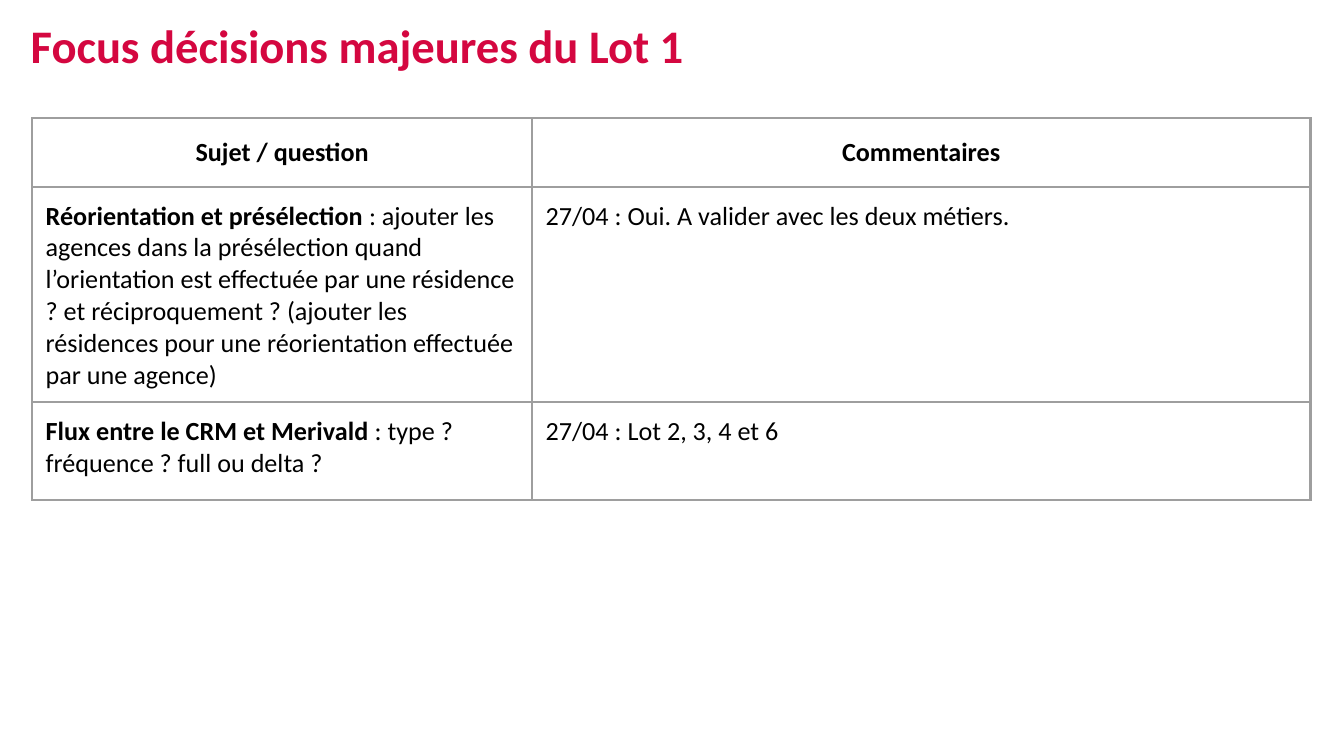
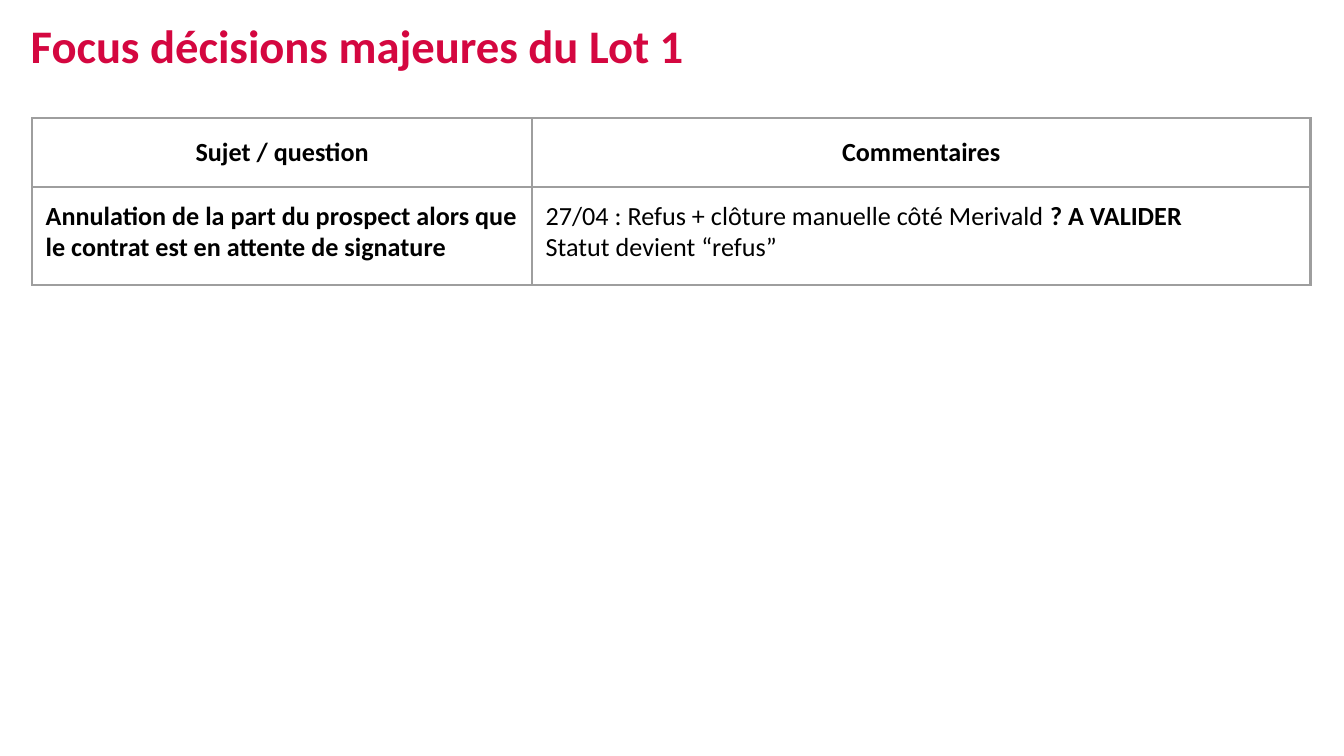
"""Builds two slides of major decisions, each a title above a bordered table."""
import pptx
import pptx.dml.color
import pptx.enum.text
import pptx.oxml
import pptx.oxml.ns
import pptx.util

Inches, Pt = pptx.util.Inches, pptx.util.Pt
ALIGN, ANCHOR = pptx.enum.text.PP_ALIGN, pptx.enum.text.MSO_ANCHOR

TITLE = "Focus décisions majeures du Lot 1"
HEADINGS = ("Sujet / question", "Commentaires")
DECISIONS = [
    [
        ([[("Réorientation et présélection", True),
           (" : ajouter les agences dans la présélection quand l’orientation est "
            "effectuée par une résidence ? et réciproquement ? (ajouter les résidences "
            "pour une réorientation effectuée par une agence)", False)]],
         [[("27/04 : Oui. A valider avec les deux métiers.", False)]]),
        ([[("Flux entre le CRM et Merivald", True),
           (" : type ? fréquence ? full ou delta ?", False)]],
         [[("27/04 : Lot 2, 3, 4 et 6", False)]]),
    ],
    [
        ([[("Annulation de la part du prospect alors que le contrat est en attente "
            "de signature", True)]],
         [[("27/04 : Refus + clôture manuelle côté Merivald ", False),
           ("? A VALIDER", True)],
          [("Statut devient “refus”", False)]]),
    ],
]

FONT = "Calibri"
RED, BLACK, GREY, WHITE = "D40740", "000000", "9E9E9E", "FFFFFF"
WIDTH = 10
HEIGHT = WIDTH * 9 / 16
TITLE_BOX = (0.13, 0.01, 9.15, 0.7)
TABLE_LEFT, TABLE_TOP = 0.24, 0.88
COLUMNS = (3.72, 5.79)
HEADER_HEIGHT, ROW_HEIGHT = 0.51, 0.73
PADDING, BORDER = 0.1, 1.5


def color(value):
    return pptx.dml.color.RGBColor.from_string(value)


def write(frame, paragraphs, size=14, fill=BLACK, align=ALIGN.LEFT, spacing=None):
    for index, spans in enumerate(paragraphs):
        para = frame.paragraphs[0] if index == 0 else frame.add_paragraph()
        para.alignment, para.line_spacing = align, spacing
        for text, bold in spans:
            span = para.add_run()
            span.text = text
            span.font.name, span.font.size, span.font.bold = FONT, Pt(size), bold
            span.font.color.rgb = color(fill)


def add_title(page):
    box = page.shapes.add_textbox(*map(Inches, TITLE_BOX))
    box.text_frame.word_wrap = True
    box.text_frame.vertical_anchor = ANCHOR.MIDDLE
    write(box.text_frame, [[(TITLE, True)]], size=25, fill=RED, spacing=0.9)


def style_cell(cell, anchor):
    cell.margin_left = cell.margin_right = Inches(PADDING)
    cell.margin_top = cell.margin_bottom = Inches(PADDING)
    cell.vertical_anchor = anchor
    properties = cell._tc.get_or_add_tcPr()
    for side in ("lnL", "lnR", "lnT", "lnB"):
        properties.append(pptx.oxml.parse_xml(
            f'<a:{side} {pptx.oxml.ns.nsdecls("a")} w="{Pt(BORDER)}"><a:solidFill>'
            f'<a:srgbClr val="{GREY}"/></a:solidFill></a:{side}>'))
    cell.fill.solid()
    cell.fill.fore_color.rgb = color(WHITE)


def add_decisions(page, decisions):
    heights = [HEADER_HEIGHT] + [ROW_HEIGHT] * len(decisions)
    table = page.shapes.add_table(
        len(heights), len(COLUMNS), Inches(TABLE_LEFT), Inches(TABLE_TOP),
        Inches(sum(COLUMNS)), Inches(sum(heights))).table
    table.first_row = table.horz_banding = False
    for column, width in zip(table.columns, COLUMNS):
        column.width = Inches(width)
    header = [[[(heading, True)]] for heading in HEADINGS]
    for index, contents in enumerate([header, *decisions]):
        table.rows[index].height = Inches(heights[index])
        is_header = index == 0
        for cell, paragraphs in zip(table.rows[index].cells, contents):
            style_cell(cell, ANCHOR.MIDDLE if is_header else ANCHOR.TOP)
            write(cell.text_frame, paragraphs,
                  align=ALIGN.CENTER if is_header else ALIGN.LEFT)


def main():
    deck = pptx.Presentation()
    deck.slide_width, deck.slide_height = Inches(WIDTH), Inches(HEIGHT)
    for decisions in DECISIONS:
        page = deck.slides.add_slide(deck.slide_layouts[6])
        add_title(page)
        add_decisions(page, decisions)
    deck.save("out.pptx")


if __name__ == "__main__":
    main()
